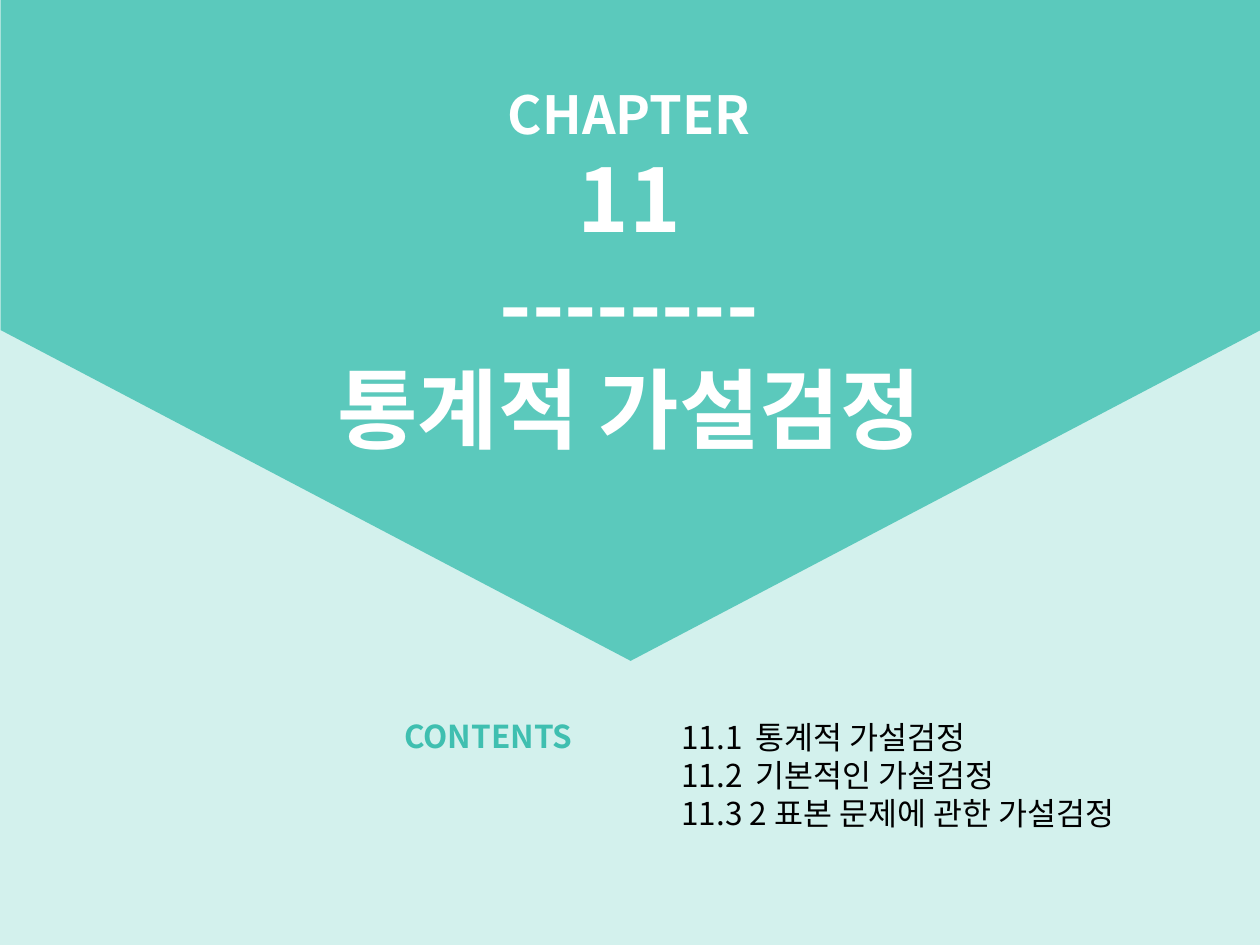
from lxml.etree import SubElement as Sub
from pptx import Presentation
from pptx.dml.color import RGBColor as RGB
from pptx.enum.shapes import MSO_SHAPE as Shape
from pptx.enum.text import MSO_AUTO_SIZE as Fit, PP_ALIGN as Align
from pptx.oxml.ns import qn
from pptx.util import Inches, Pt

COLORS = {
    "pale": "D3F1ED",
    "teal": "5BC9BC",
    "deep": "3FBFB0",
    "white": "FFFFFF",
    "black": "000000",
}


class Deck:
    font = "Noto Sans CJK KR"

    def __init__(self, wide, high):
        self.prs = Presentation()
        self.prs.slide_width = Inches(wide)
        self.prs.slide_height = Inches(high)
        self.slide = self.prs.slides.add_slide(self.prs.slide_layouts[6])

    def color(self, name):
        return RGB.from_string(COLORS[name])

    def shape(self, kind, box, fill, turn=0):
        item = self.slide.shapes.add_shape(kind, *map(Inches, box))
        item.rotation = turn
        item.shadow.inherit = False
        item.fill.solid()
        item.fill.fore_color.rgb = self.color(fill)
        item.line.fill.background()
        return item

    def text(self, box, lines, color, bold=False, align=Align.LEFT, tab=None):
        """Add a text box; lines holds (text, size) pairs, tab is a stop in inches."""
        frame = self.slide.shapes.add_textbox(*map(Inches, box)).text_frame
        frame.text = "\n".join(text for text, _ in lines)
        frame.word_wrap = True
        frame.auto_size = Fit.SHAPE_TO_FIT_TEXT
        for para, (_, size) in zip(frame.paragraphs, lines):
            para.alignment = align
            if tab:
                stops = Sub(para._p.get_or_add_pPr(), qn("a:tabLst"))
                Sub(stops, qn("a:tab"), pos=str(Inches(tab)), algn="l")
            for run in para.runs:
                font = run.font
                font.name, font.size, font.bold = self.font, Pt(size), bold
                font.color.rgb = self.color(color)
                Sub(run._r.get_or_add_rPr(), qn("a:ea"), typeface=self.font)


def main():
    deck = Deck(10, 7.5)
    deck.shape(Shape.RECTANGLE, (0, 0, 10, 7.5), "pale")
    deck.shape(Shape.PENTAGON, (2.38, -2.38, 5.25, 10), "teal", turn=90)

    title = [("CHAPTER", 30), ("11", 50), ("--------", 50), ("통계적 가설검정", 50)]
    deck.text((2.28, 0.6, 5.43, 3.13), title, "white", True, Align.CENTER)

    topics = ["11.1\t통계적 가설검정", "11.2\t기본적인 가설검정",
              "11.3 2 표본 문제에 관한 가설검정"]
    deck.text((5.31, 5.65, 4.09, 1.01), [(topic, 18) for topic in topics],
              "black", tab=0.59)
    deck.text((3.11, 5.64, 1.73, 0.4), [("CONTENTS", 18)], "deep", True)
    deck.prs.save("out.pptx")


if __name__ == "__main__":
    main()
